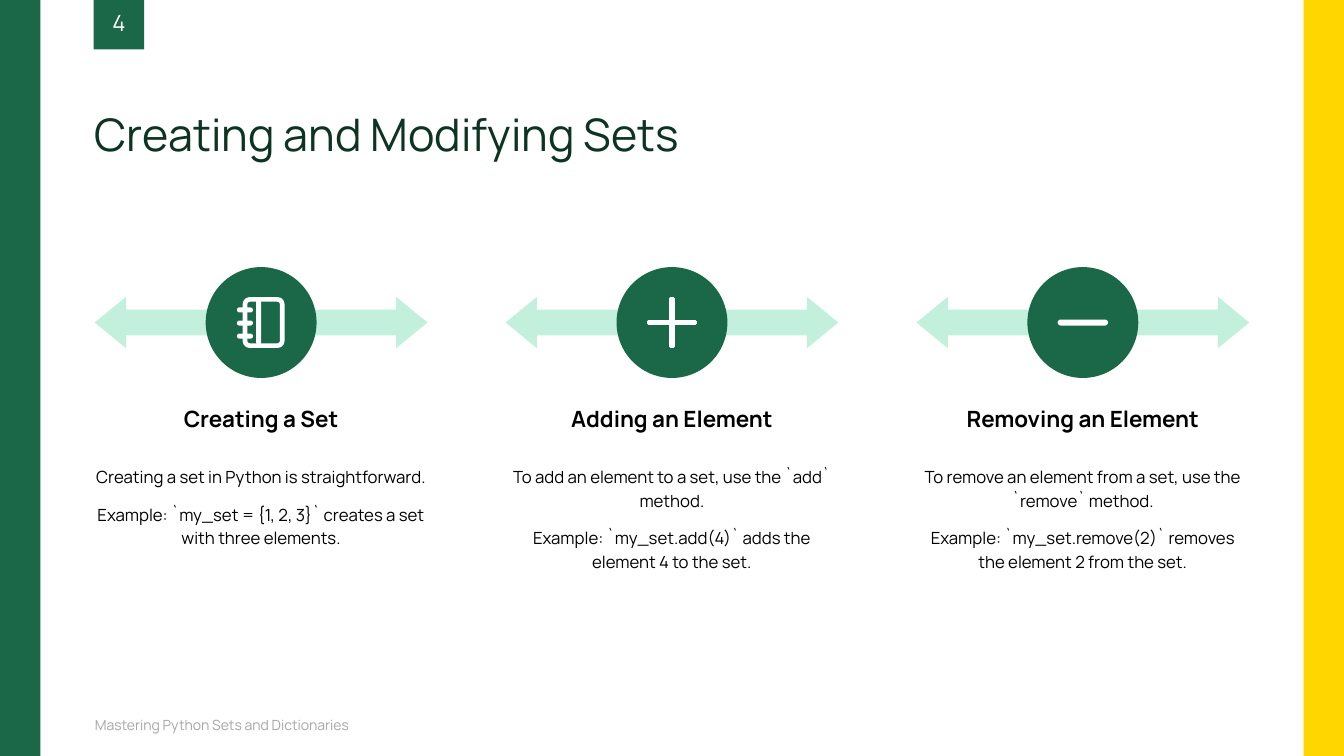
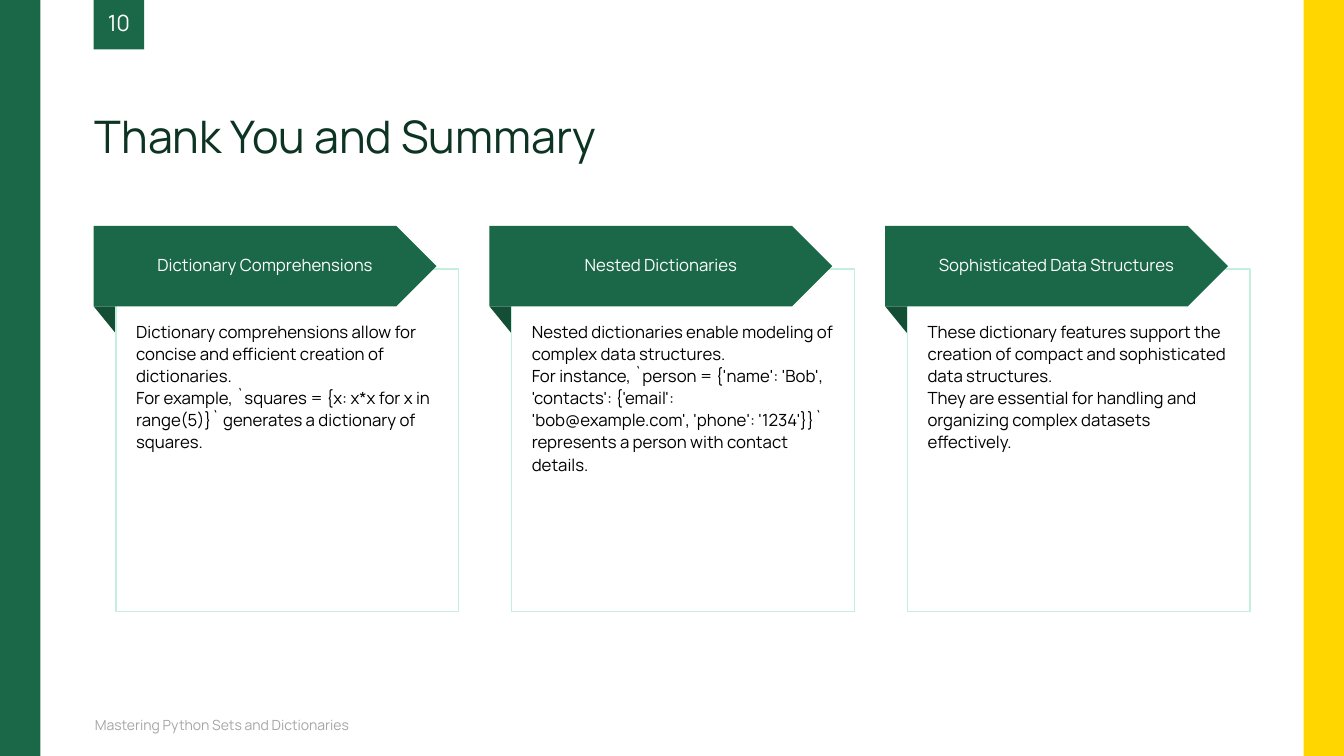
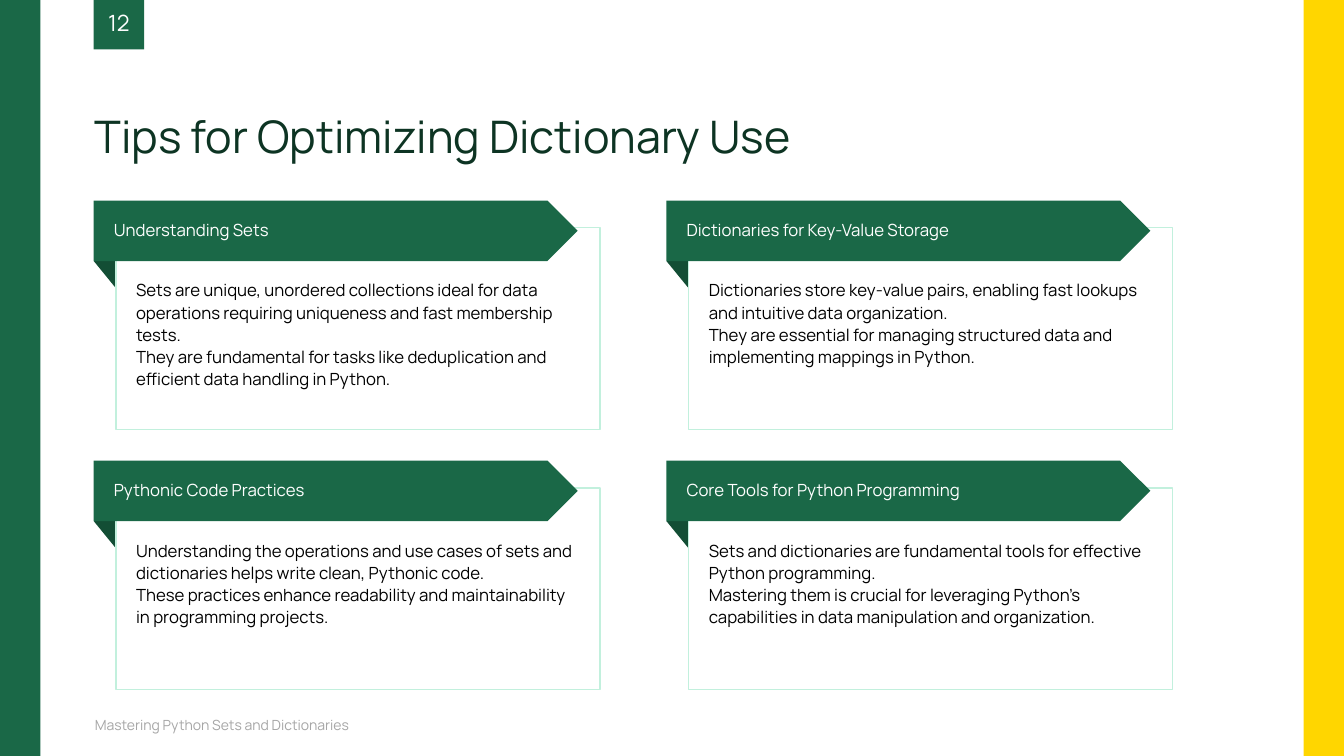
from pptx import Presentation
from pptx.dml.color import RGBColor
from pptx.enum.shapes import MSO_SHAPE as Preset
from pptx.enum.text import MSO_ANCHOR as Anchor, MSO_AUTO_SIZE as AutoSize, PP_ALIGN as Align
from pptx.util import Inches, Pt

COLORS = {
    "green": "1A6847", "fold": "134E35", "mint": "C2F0DD", "yellow": "FFD600",
    "title": "0D3423", "footer": "A6A6A6", "black": "000000", "white": "FFFFFF",
}
FONT = "Manrope"
FOOTER = "Mastering Python Sets and Dictionaries"
LEFT = 0.94


def draw(page, preset, area, fill=None, line=None, weight=1):
    """Add a flat preset shape; area is left, top, width, height in inches."""
    shape = page.shapes.add_shape(preset, *map(Inches, area))
    shape.shadow.inherit = False
    if fill:
        shape.fill.solid()
        shape.fill.fore_color.rgb = RGBColor.from_string(COLORS[fill])
    else:
        shape.fill.background()
    if line:
        shape.line.color.rgb = RGBColor.from_string(COLORS[line])
        shape.line.width = Pt(weight)
    else:
        shape.line.fill.background()
    return shape


def write(shape, lines, size, color, bold=False, anchor=Anchor.TOP, indent=0, **layout):
    """Fill a shape with paragraphs; indent is its left margin in inches."""
    frame = shape.text_frame
    frame.word_wrap = True
    frame.auto_size = AutoSize.NONE
    frame.vertical_anchor = anchor
    frame.margin_left = Inches(indent)
    frame.margin_top = frame.margin_right = frame.margin_bottom = 0
    for index, line in enumerate(lines):
        para = frame.add_paragraph() if index else frame.paragraphs[0]
        for name, value in ({"alignment": Align.LEFT} | layout).items():
            setattr(para, name, value)
        span = para.add_run()
        span.text = line
        for name, value in {"name": FONT, "size": Pt(size), "bold": bold}.items():
            setattr(span.font, name, value)
        span.font.color.rgb = RGBColor.from_string(COLORS[color])


deck = Presentation()
deck.slide_width = Inches(13.33)
deck.slide_height = Inches(7.5)
title_only = deck.slide_layouts[5]

# Shared frame: side bands, footer, title and page number
heading = {"line_spacing": 0.9, "space_before": Pt(10)}
pages = []
for number, title, title_height in (
    ("4", "Creating and Modifying Sets", 1.6),
    ("10", "Thank You and Summary", 1.62),
    ("12", "Tips for Optimizing Dictionary Use", 1.62),
):
    page = deck.slides.add_slide(title_only)
    draw(page, Preset.RECTANGLE, (0, 0, 0.4, 7.5), "green")
    draw(page, Preset.RECTANGLE, (12.93, 0, 0.4, 7.5), "yellow")
    footer = page.shapes.add_textbox(*map(Inches, (LEFT, 7.1, 6.58, 0.2)))
    write(footer, [FOOTER], 10, "footer", anchor=Anchor.MIDDLE, **heading)
    box = page.shapes.title
    box.left, box.top, box.width, box.height = map(Inches, (LEFT, 0, 11.45, title_height))
    write(box, [title], 32, "title", anchor=Anchor.BOTTOM, **heading)
    draw(page, Preset.RECTANGLE, (0.93, -0.01, 0.5, 0.5), "green")
    badge = page.shapes.add_textbox(*map(Inches, (1.03, 0.04, 0.3, 0.4)))
    write(badge, [number], 16, "white", anchor=Anchor.MIDDLE, alignment=Align.CENTER, **heading)
    pages.append(page)
sets_page, summary_page, tips_page = pages

# Three steps, each with an icon in a circle
steps = [
    ("Creating a Set", "notebook", [
        "Creating a set in Python is straightforward.",
        "Example: `my_set = {1, 2, 3}` creates a set with three elements."]),
    ("Adding an Element", "plus", [
        "To add an element to a set, use the `add` method.",
        "Example: `my_set.add(4)` adds the element 4 to the set."]),
    ("Removing an Element", "minus", [
        "To remove an element from a set, use the `remove` method.",
        "Example: `my_set.remove(2)` removes the element 2 from the set."]),
]
# Rounded bars: left, top, width, height from the centre of the circle
icon_bars = {
    "notebook": [(-0.05, -0.23, 0.05, 0.45)]
    + [(-0.24, -0.02 + 0.13 * ring, 0.16, 0.05) for ring in (-1, 0, 1)],
    "plus": [],
    "minus": [(-0.25, -0.03, 0.5, 0.06)],
}
step_width, middle = 3.3, 3.2
for column, (name, icon, lines) in enumerate(steps):
    left = LEFT + 4.075 * column
    center = left + step_width / 2
    arrow = draw(sets_page, Preset.LEFT_RIGHT_ARROW, (left, middle - 0.255, step_width, 0.51), "mint")
    arrow.adjustments[0], arrow.adjustments[1] = 0.5, 0.61
    draw(sets_page, Preset.OVAL, (center - 0.55, middle - 0.55, 1.1, 1.1), "green")
    if icon == "notebook":
        cover = draw(sets_page, Preset.ROUNDED_RECTANGLE,
                     (center - 0.16, middle - 0.23, 0.37, 0.46), line="white", weight=3.3)
        cover.adjustments[0] = 0.13
    elif icon == "plus":
        # The outline rounds the ends of the thin cross
        plus = draw(sets_page, Preset.CROSS, (center - 0.235, middle - 0.235, 0.47, 0.47),
                    "white", "white", weight=2.2)
        plus.adjustments[0] = 0.47
    for dx, dy, width, height in icon_bars[icon]:
        bar = draw(sets_page, Preset.ROUNDED_RECTANGLE, (center + dx, middle + dy, width, height), "white")
        bar.adjustments[0] = 0.5
    label = sets_page.shapes.add_textbox(*map(Inches, (left, 4.02, step_width, 0.45)))
    write(label, [name], 16, "black", bold=True, alignment=Align.CENTER)
    body = sets_page.shapes.add_textbox(*map(Inches, (left, 4.6, step_width, 1.46)))
    write(body, lines, 12, "black", alignment=Align.CENTER, line_spacing=1.17, space_after=Pt(10))

# Ribbon cards: one row of three, then a grid of two by two
summary_cards = [
    ("Dictionary Comprehensions", [
        "Dictionary comprehensions allow for concise and efficient creation of dictionaries.",
        "For example, `squares = {x: x*x for x in range(5)}` generates a dictionary of squares."]),
    ("Nested Dictionaries", [
        "Nested dictionaries enable modeling of complex data structures.",
        "For instance, `person = {'name': 'Bob', 'contacts': {'email': 'bob@example.com', "
        "'phone': '1234'}}` represents a person with contact details."]),
    ("Sophisticated Data Structures", [
        "These dictionary features support the creation of compact and sophisticated data structures.",
        "They are essential for handling and organizing complex datasets effectively."]),
]
tips_cards = [
    ("Understanding Sets", [
        "Sets are unique, unordered collections ideal for data operations requiring uniqueness "
        "and fast membership tests.",
        "They are fundamental for tasks like deduplication and efficient data handling in Python."]),
    ("Dictionaries for Key-Value Storage", [
        "Dictionaries store key-value pairs, enabling fast lookups and intuitive data organization.",
        "They are essential for managing structured data and implementing mappings in Python."]),
    ("Pythonic Code Practices", [
        "Understanding the operations and use cases of sets and dictionaries helps write clean, "
        "Pythonic code.",
        "These practices enhance readability and maintainability in programming projects."]),
    ("Core Tools for Python Programming", [
        "Sets and dictionaries are fundamental tools for effective Python programming.",
        "Mastering them is crucial for leveraging Python's capabilities in data manipulation "
        "and organization."]),
]
grids = [
    {"page": summary_page, "cards": summary_cards, "columns": 3, "top": 2.24, "pitch": (3.925, 0),
     "panel": (3.4, 3.4), "drop": 0.43, "ribbon": 0.8, "align": Align.CENTER},
    {"page": tips_page, "cards": tips_cards, "columns": 2, "top": 1.99, "pitch": (5.68, 2.58),
     "panel": (4.8, 2), "drop": 0.27, "ribbon": 0.6, "align": Align.LEFT},
]
fold_width, fold_height = 0.22, 0.27
pad, text_drop = 0.2, 0.5
for grid in grids:
    page, drop, ribbon_height = grid["page"], grid["drop"], grid["ribbon"]
    width, height = grid["panel"]
    for index, (name, lines) in enumerate(grid["cards"]):
        row, column = divmod(index, grid["columns"])
        left = 0.93 + grid["pitch"][0] * column
        top = grid["top"] + grid["pitch"][1] * row
        fold = draw(page, Preset.RIGHT_TRIANGLE,
                    (left, top + ribbon_height, fold_width, fold_height), "fold")
        fold.rotation = 180
        panel_left, panel_top = left + fold_width, top + drop
        draw(page, Preset.RECTANGLE, (panel_left, panel_top, width, height), "white", "mint")
        body = page.shapes.add_textbox(*map(Inches, (
            panel_left + pad, panel_top + text_drop, width - 2 * pad, height - text_drop)))
        write(body, lines, 12, "black", line_spacing=1.1)
        ribbon = draw(page, Preset.PENTAGON, (left, top, width, ribbon_height), "green")
        write(ribbon, [name], 12, "white", anchor=Anchor.MIDDLE, indent=pad,
              alignment=grid["align"], line_spacing=0.9)

deck.save("out.pptx")
